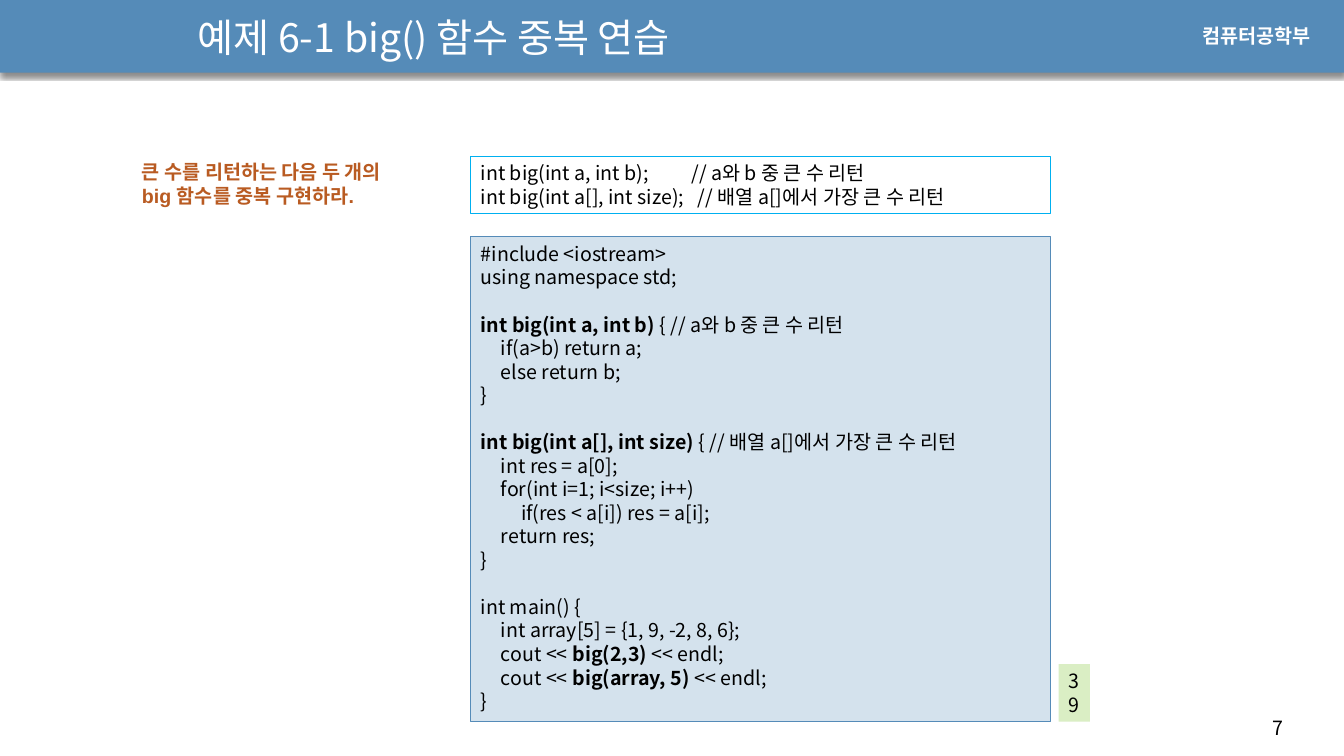
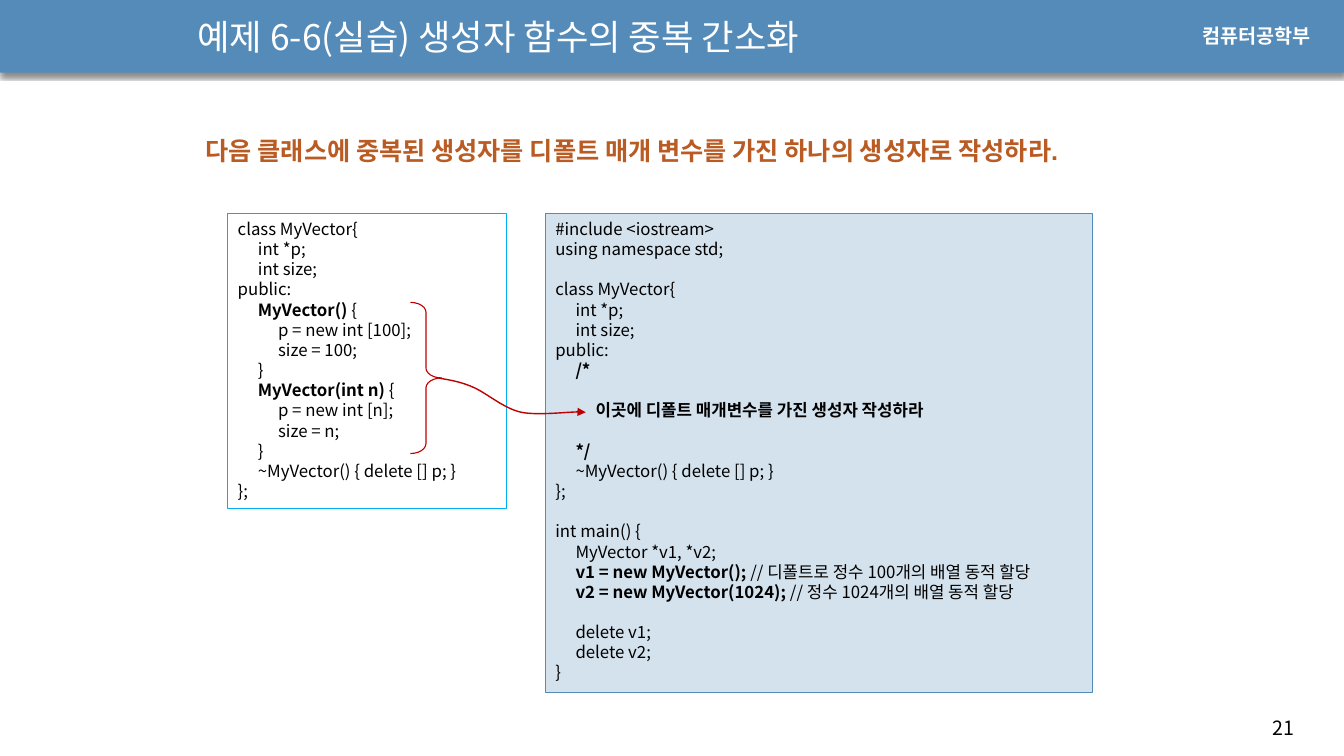
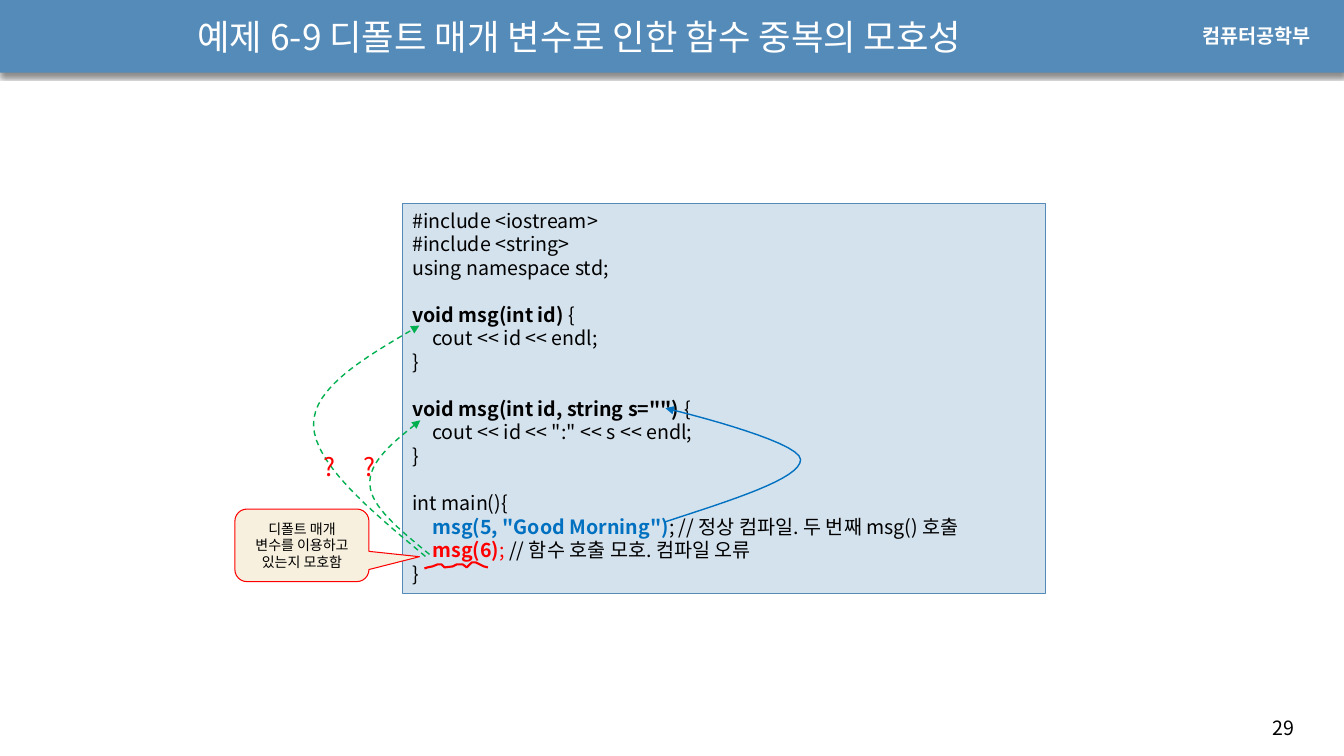
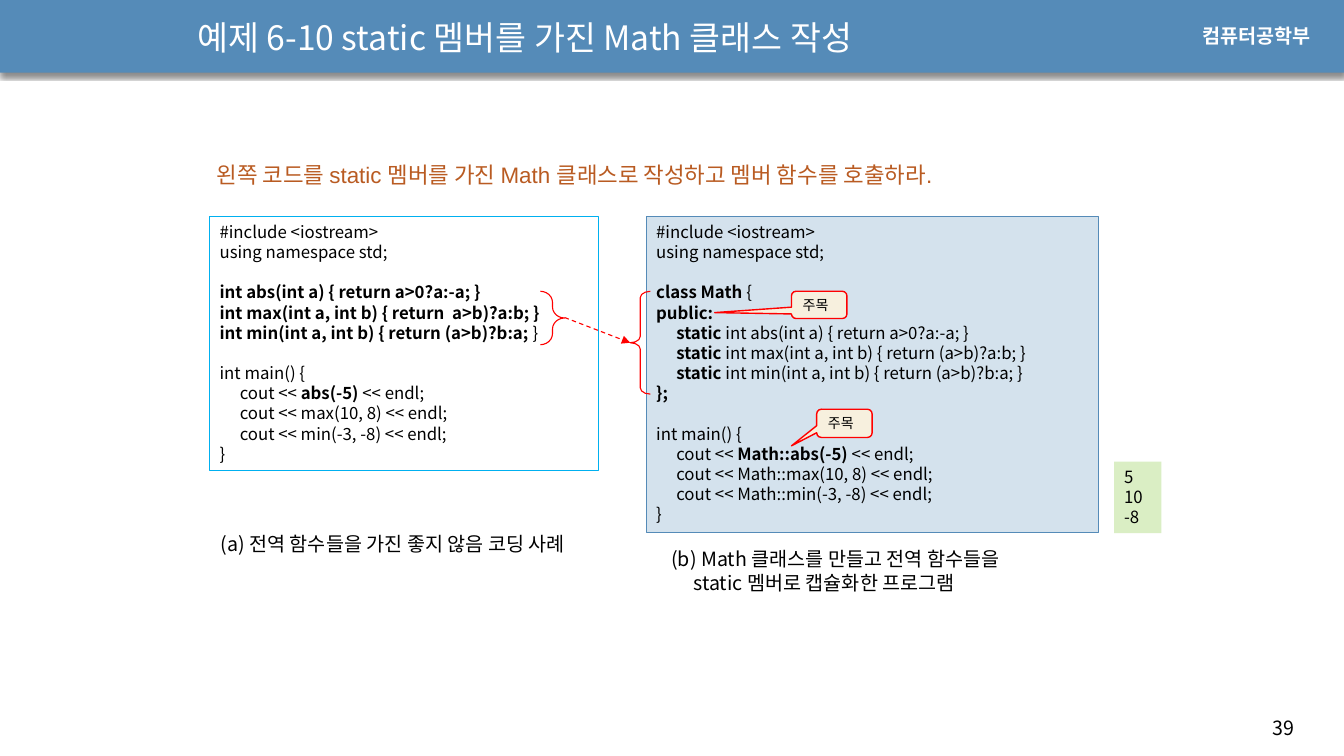
from lxml import etree
from pptx import Presentation
from pptx.dml.color import RGBColor
from pptx.enum import dml, shapes, text
from pptx.oxml import ns
from pptx.util import Inches, Pt

SANS = "Noto Sans CJK KR"
ARIAL = "Arial"
BLACK = RGBColor(0x00, 0x00, 0x00)
WHITE = RGBColor(0xFF, 0xFF, 0xFF)
BAND_BLUE = RGBColor(0x55, 0x8B, 0xB8)
PANEL_BLUE = RGBColor(0xD4, 0xE2, 0xED)
SKY = RGBColor(0x00, 0xB0, 0xF0)
OUTPUT_GREEN = RGBColor(0xDA, 0xEE, 0xC4)
CREAM = RGBColor(0xF7, 0xF0, 0xDE)
TASK_ORANGE = RGBColor(0xB9, 0x5B, 0x22)
DARK_RED = RGBColor(0xC0, 0x00, 0x00)
RED = RGBColor(0xFF, 0x00, 0x00)
BLUE = RGBColor(0x00, 0x70, 0xC0)
GREEN = RGBColor(0x00, 0xB0, 0x50)

LINE_HEIGHT = 1.2
INDENT_STOPS = (0.2, 0.4)
CURVE_STEPS = 16

PROTOTYPES = """int big(int a, int b);\t// a와 b 중 큰 수 리턴
int big(int a[], int size);   // 배열 a[]에서 가장 큰 수 리턴"""

BIG_CODE = """#include <iostream>
using namespace std;

`int big(int a, int b) `{ // a와 b 중 큰 수 리턴
    if(a>b) return a;
    else return b;
}

`int big(int a[], int size) `{ // 배열 a[]에서 가장 큰 수 리턴
    int res = a[0];
    for(int i=1; i<size; i++)
        if(res < a[i]) res = a[i];
    return res;
}

int main() {
    int array[5] = {1, 9, -2, 8, 6};
    cout << `big(2,3) `<< endl;
    cout << `big(array, 5) `<< endl;
}"""

VECTOR_BEFORE = """class MyVector{
    int *p;
    int size;
public:
    `MyVector() `{
        p = new int [100];
        size = 100;
    }
    `MyVector(int n) `{
        p = new int [n];
        size = n;
    }
    ~MyVector() { delete [] p; }
};"""

VECTOR_AFTER = """#include <iostream>
using namespace std;

class MyVector{
    int *p;
    int size;
public:
    `/*`

        `이곳에 디폴트 매개변수를 가진 생성자 작성하라`

    `*/`
    ~MyVector() { delete [] p; }
};

int main() {
    MyVector *v1, *v2;
    `v1 = new MyVector(); `// 디폴트로 정수 100개의 배열 동적 할당
    `v2 = new MyVector(1024); `// 정수 1024개의 배열 동적 할당

    delete v1;
    delete v2;
}"""

MSG_CODE = """#include <iostream>
#include <string>
using namespace std;

`void msg(int id) `{
    cout << id << endl;
}

`void msg(int id, string s="") `{
    cout << id << ":" << s << endl;
}

int main(){"""

MSG_CALLS = [
    [("\t", False, BLACK), ('msg(5, "Good Morning")', True, BLUE),
     ("; // 정상 컴파일. 두 번째 msg() 호출", False, BLACK)],
    [("\t", False, BLACK), ("msg(6)", True, RED), ("; ", False, RED),
     ("// 함수 호출 모호. 컴파일 오류", False, BLACK)],
    "}",
]

GLOBAL_CODE = """#include <iostream>
using namespace std;

`int abs(int a) { return a>0?a:-a; }`
`int max(int a, int b) { return  a>b)?a:b; }`
`int min(int a, int b) { return (a>b)?b:a; `}

int main() {
    cout << `abs(-5) `<< endl;
    cout << max(10, 8) << endl;
    cout << min(-3, -8) << endl;
}"""

MATH_CODE = """#include <iostream>
using namespace std;

`class Math `{
`public:`
    `static `int abs(int a) { return a>0?a:-a; }
    `static `int max(int a, int b) { return (a>b)?a:b; }
    `static `int min(int a, int b) { return (a>b)?b:a; }
`};`

int main() {
    cout << `Math::abs(-5) `<< endl;
    cout << Math::max(10, 8) << endl;
    cout << Math::min(-3, -8) << endl;
}"""


def add_xml(parent, tag, **attributes):
    child = etree.SubElement(parent, ns.qn(tag))
    for name, value in attributes.items():
        child.set(name, str(value))
    return child


def style_paragraph(paragraph, size, color, font_name, bold, align):
    paragraph.alignment = align
    paragraph.line_spacing = Pt(size * LINE_HEIGHT)
    font = paragraph.font
    font.size = Pt(size)
    font.bold = bold
    font.color.rgb = color
    font.name = font_name
    add_xml(font._element, "a:ea", typeface=SANS)


def marked_runs(line):
    parts = line.replace("    ", "\t").split("`")
    return [(part, i % 2 == 1, None) for i, part in enumerate(parts) if part]


def write(shape, lines, size, color=BLACK, font_name=SANS, bold=None,
          align=text.PP_ALIGN.LEFT, anchor=text.MSO_ANCHOR.TOP, stops=()):
    frame = shape.text_frame
    frame.word_wrap = True
    frame.vertical_anchor = anchor
    blanks = 0
    paragraph = None
    for line in lines:
        if not line:
            blanks += 1
            continue
        paragraph = frame.add_paragraph() if paragraph else frame.paragraphs[0]
        if blanks:
            paragraph.space_before = Pt(blanks * size * LINE_HEIGHT)
            blanks = 0
        if stops:
            tabs = add_xml(paragraph._p.get_or_add_pPr(), "a:tabLst")
            for stop in stops:
                add_xml(tabs, "a:tab", pos=Inches(stop), algn="l")
        style_paragraph(paragraph, size, color, font_name, bold, align)
        for content, strong, run_color in marked_runs(line) if isinstance(line, str) else line:
            run = paragraph.add_run()
            run.text = content
            if strong:
                run.font.bold = True
            if run_color:
                run.font.color.rgb = run_color


def add_label(slide, box, lines, size, **style):
    label = slide.shapes.add_textbox(*map(Inches, box))
    write(label, lines, size, **style)
    return label


def add_figure(slide, kind, box, fill=None, line=None, width=0.75, adjust=()):
    figure = slide.shapes.add_shape(kind, *map(Inches, box))
    figure.shadow.inherit = False
    paint(figure, fill, line, width)
    for i, value in enumerate(adjust):
        figure.adjustments[i] = value
    return figure


def paint(figure, fill, line, width):
    if fill:
        figure.fill.solid()
        figure.fill.fore_color.rgb = fill
    else:
        figure.fill.background()
    if line:
        figure.line.color.rgb = line
        figure.line.width = Pt(width)
    else:
        figure.line.fill.background()


def add_panel(slide, box, code, size, fill=None, line=None, stops=INDENT_STOPS):
    panel = add_figure(slide, shapes.MSO_SHAPE.RECTANGLE, box, fill, line)
    lines = code.split("\n") if isinstance(code, str) else code
    write(panel, lines, size, stops=stops)


def add_brace(slide, box, curl, color, rotation=0):
    brace = add_figure(slide, shapes.MSO_SHAPE.RIGHT_BRACE, box, line=color,
                       width=0.79, adjust=(curl, 0.5))
    brace.rotation = rotation


def add_callout(slide, box, pointer, words, width, align=text.PP_ALIGN.LEFT):
    callout = add_figure(slide, shapes.MSO_SHAPE.ROUNDED_RECTANGULAR_CALLOUT, box,
                         CREAM, RED, width, (*pointer, 0.167))
    write(callout, [words], 10, align=align, anchor=text.MSO_ANCHOR.MIDDLE)


def point_arrow(line, dashed):
    if dashed:
        line.dash_style = dml.MSO_LINE.DASH
    add_xml(line._get_or_add_ln(), "a:tailEnd", type="triangle")


def add_path(slide, points, color, width):
    start, *rest = [(Inches(x), Inches(y)) for x, y in points]
    builder = slide.shapes.build_freeform(*start)
    builder.add_line_segments(rest, close=False)
    path = builder.convert_to_shape()
    path.shadow.inherit = False
    paint(path, None, color, width)
    return path


def bezier_points(start, *controls):
    points = [start]
    for i in range(0, len(controls), 3):
        corners = (points[-1], *controls[i:i + 3])
        for step in range(1, CURVE_STEPS + 1):
            t = step / CURVE_STEPS
            weights = ((1 - t) ** 3, 3 * t * (1 - t) ** 2, 3 * t * t * (1 - t), t ** 3)
            points.append(tuple(sum(w * corner[axis] for w, corner in zip(weights, corners))
                                for axis in (0, 1)))
    return points


def add_curved_arrow(slide, controls, color, dashed=False):
    arrow = add_path(slide, bezier_points(*controls), color, 1)
    point_arrow(arrow.line, dashed)


def add_straight_arrow(slide, start, end, color):
    arrow = slide.shapes.add_connector(shapes.MSO_CONNECTOR.STRAIGHT,
                                       *map(Inches, (*start, *end)))
    arrow.line.color.rgb = color
    arrow.line.width = Pt(0.79)
    point_arrow(arrow.line, True)
    add_xml(arrow._element.spPr, "a:effectLst")


def start_slide(deck, title, size, number, title_width=7.4):
    slide = deck.slides.add_slide(deck.slide_layouts[6])
    band = add_figure(slide, shapes.MSO_SHAPE.RECTANGLE, (0, -0.01, 13.33, 0.73), BAND_BLUE)
    effects = band._element.spPr.find(ns.qn("a:effectLst"))
    shadow = add_xml(effects, "a:outerShdw", blurRad=Pt(3), dist=Pt(2.4),
                     dir=90 * 60000, rotWithShape=0)
    add_xml(add_xml(shadow, "a:srgbClr", val=BLACK), "a:alpha", val=45000)
    add_label(slide, (12.52, 7.05, 0.71, 0.34), [str(number)], 14)
    add_label(slide, (11.83, 0.19, 1.37, 0.34), ["컴퓨터공학부"], 14,
              color=WHITE, font_name=ARIAL, bold=True)
    add_label(slide, (1.86, 0.05, title_width, 0.63), [title], size,
              color=WHITE, anchor=text.MSO_ANCHOR.MIDDLE)
    return slide


def add_task(slide, box, words, size, bold=None):
    add_label(slide, box, [words], size, color=TASK_ORANGE, font_name=ARIAL, bold=bold)


def build_big(deck):
    slide = start_slide(deck, "예제 6-1 big() 함수 중복 연습", 28, 7)
    add_panel(slide, (4.67, 1.55, 5.75, 0.57), PROTOTYPES, 14, line=SKY, stops=(2.09,))
    add_panel(slide, (4.67, 2.35, 5.75, 4.81), BIG_CODE, 14, PANEL_BLUE, BAND_BLUE)
    add_panel(slide, (10.5, 6.59, 0.31, 0.57), "3\n9", 14, OUTPUT_GREEN)
    add_task(slide, (1.31, 1.54, 2.7, 0.57),
             "큰 수를 리턴하는 다음 두 개의 big 함수를 중복 구현하라.", 14, True)


def build_vector(deck):
    slide = start_slide(deck, "예제 6-6(실습) 생성자 함수의 중복 간소화", 25.2, 21)
    add_task(slide, (1.94, 1.29, 9.92, 0.4),
             "다음 클래스에 중복된 생성자를 디폴트 매개 변수를 가진 하나의 생성자로 작성하라.",
             18, True)
    add_panel(slide, (2.26, 2.12, 2.76, 2.93), VECTOR_BEFORE, 12, line=SKY)
    add_panel(slide, (5.41, 2.12, 5.43, 4.75), VECTOR_AFTER, 12, PANEL_BLUE, BAND_BLUE)
    add_brace(slide, (4.07, 3, 0.31, 1.5), 0.318, DARK_RED)
    add_curved_arrow(slide, [(4.35, 3.75), (4.45, 3.77), (4.55, 3.78), (4.69, 3.84),
                             (4.83, 3.9), (4.99, 4.05), (5.17, 4.09),
                             (5.36, 4.13), (5.74, 4.07), (5.81, 4.09)], DARK_RED)


def build_msg(deck):
    slide = start_slide(deck, "예제 6-9 디폴트 매개 변수로 인한 함수 중복의 모호성", 25.2, 29, 8.9)
    add_panel(slide, (3.99, 2.02, 6.38, 3.87), MSG_CODE.split("\n") + MSG_CALLS, 14,
              PANEL_BLUE, BAND_BLUE)
    add_curved_arrow(slide, [(6.59, 5.18), (7.26, 4.96), (7.94, 4.75), (7.94, 4.56),
                             (7.94, 4.37), (6.6, 4.05), (6.6, 4.05)], BLUE)
    add_curved_arrow(slide, [(4.26, 5.5), (3.97, 5.26), (3.68, 5.03), (3.67, 4.81),
                             (3.65, 4.58), (3.91, 4.38), (4.17, 4.17)], GREEN, True)
    add_curved_arrow(slide, [(4.22, 5.52), (3.67, 5.06), (3.12, 4.6), (3.11, 4.22),
                             (3.1, 3.84), (3.63, 3.54), (4.16, 3.23)], GREEN, True)
    add_callout(slide, (2.33, 5.05, 1.33, 0.72), (0.877, 0.157),
                "디폴트 매개 변수를 이용하고 있는지 모호함", 0.75, text.PP_ALIGN.CENTER)
    for left in (3.11, 3.51):
        add_label(slide, (left, 4.43, 0.32, 0.4), ["?"], 18, color=RED)
    add_path(slide, [(4.21, 5.64), (4.24, 5.63), (4.29, 5.62), (4.34, 5.6), (4.38, 5.6),
                     (4.41, 5.63), (4.49, 5.62), (4.53, 5.6), (4.59, 5.6), (4.63, 5.63),
                     (4.68, 5.58), (4.72, 5.58), (4.76, 5.6), (4.8, 5.62), (4.84, 5.63)],
             RED, 1.5)


def build_math(deck):
    slide = start_slide(deck, "예제 6-10 static 멤버를 가진 Math 클래스 작성", 24, 39, 9.19)
    add_panel(slide, (2.08, 2.15, 3.86, 2.52), GLOBAL_CODE, 12, line=SKY)
    add_panel(slide, (6.41, 2.15, 4.49, 3.13), MATH_CODE, 12, PANEL_BLUE, BAND_BLUE)
    add_brace(slide, (5.36, 2.89, 0.24, 0.53), 0.459, RED)
    add_brace(slide, (6.25, 2.89, 0.2, 1.02), 0.314, RED, 180)
    add_straight_arrow(slide, (5.6, 3.15), (6.25, 3.4), RED)
    add_label(slide, (2.09, 5.23, 4.04, 0.34), ["(a) 전역 함수들을 가진 좋지 않음 코딩 사례"], 14)
    caption = add_label(slide, (6.56, 5.38, 4.17, 0.57),
                        ["(b) Math 클래스를 만들고 전역 함수들을", "static 멤버로 캡슐화한 프로그램"], 14)
    caption.text_frame.paragraphs[1]._p.get_or_add_pPr().set("marL", str(Inches(0.22)))
    add_callout(slide, (8.1, 4.06, 0.55, 0.28), (-0.955, 0.797), "주목", 1)
    add_callout(slide, (7.85, 2.89, 0.55, 0.27), (-1.886, 0.284), "주목", 1)
    add_panel(slide, (11.05, 4.58, 0.47, 0.71), "5\n10\n-8", 12, OUTPUT_GREEN)
    add_task(slide, (2.05, 1.55, 9.21, 0.37),
             "왼쪽 코드를 static 멤버를 가진 Math 클래스로 작성하고 멤버 함수를 호출하라.", 16)


def main():
    deck = Presentation()
    deck.slide_width = Inches(13.33)
    deck.slide_height = Inches(7.5)
    for build in (build_big, build_vector, build_msg, build_math):
        build(deck)
    deck.save("out.pptx")


if __name__ == "__main__":
    main()
